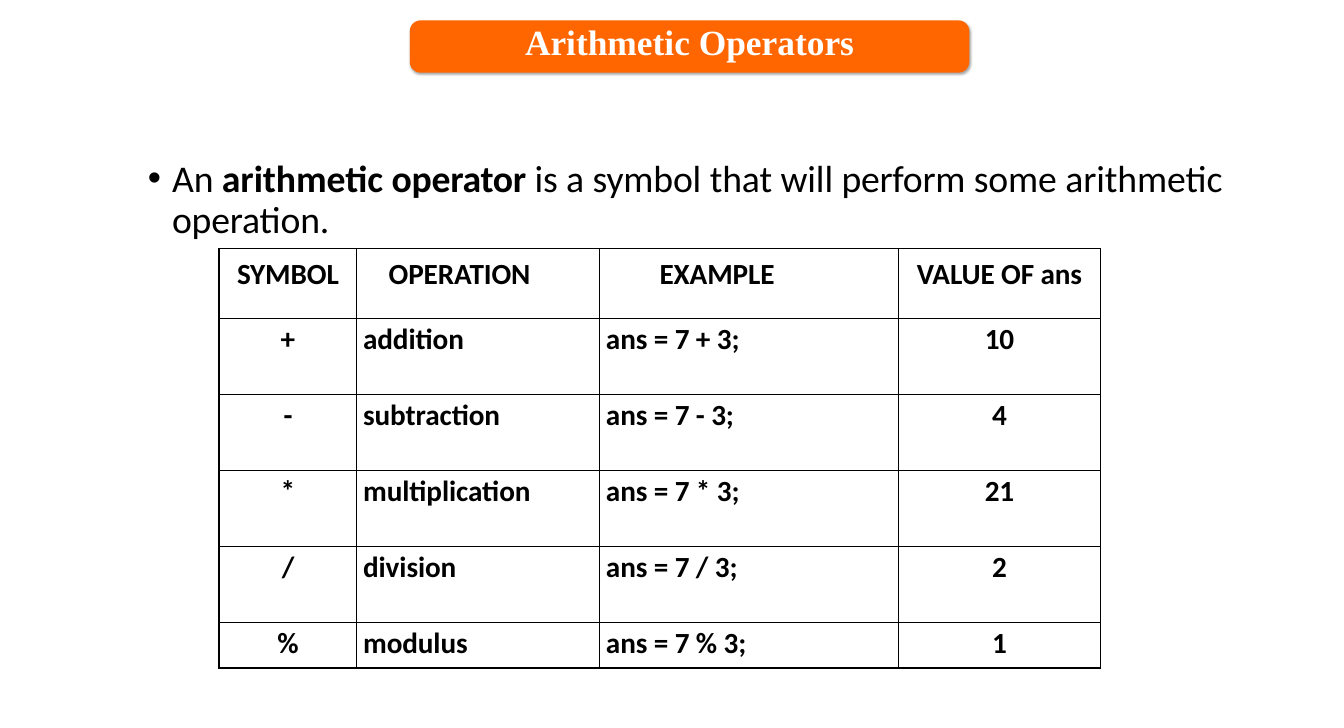
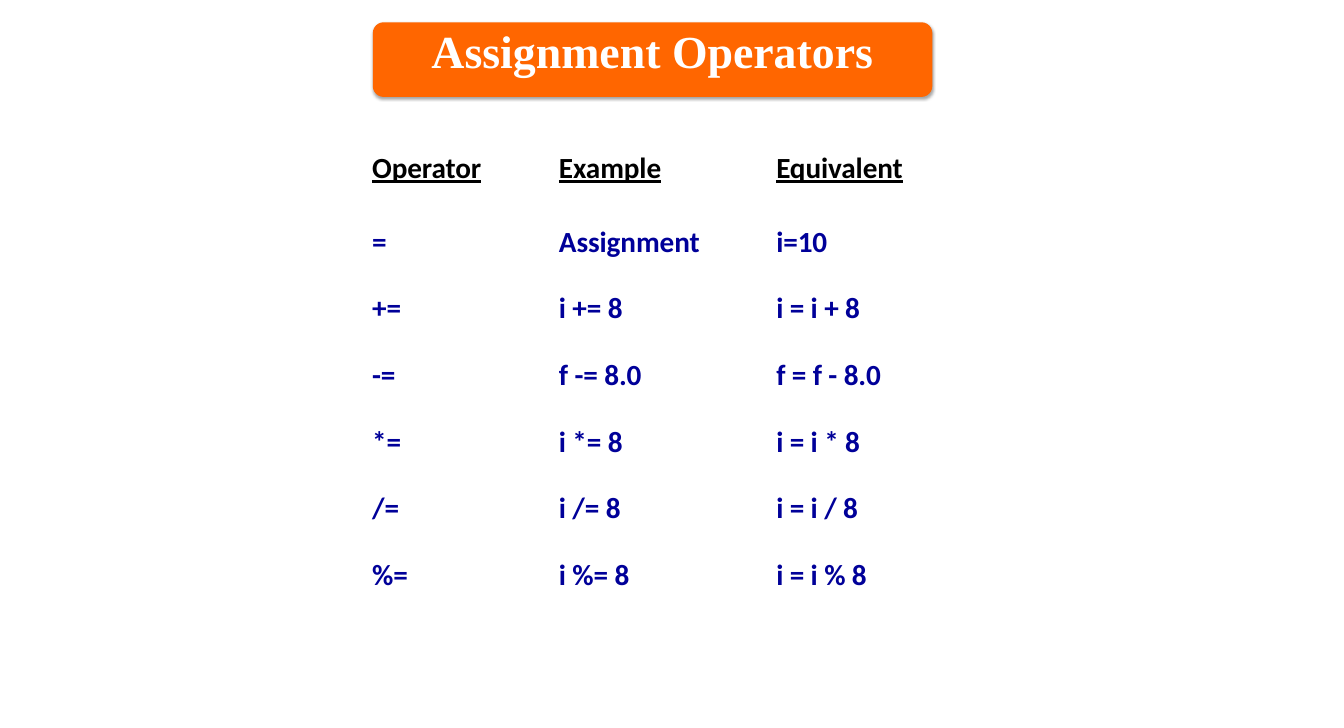
from dataclasses import dataclass

from lxml.etree import SubElement
from pptx import Presentation
from pptx.dml.color import RGBColor
from pptx.enum.shapes import MSO_SHAPE as Shape
from pptx.enum.text import MSO_ANCHOR as Anchor, MSO_AUTO_SIZE as AutoSize, PP_ALIGN as Align
from pptx.oxml.ns import qn
from pptx.util import Inches, Pt

SLIDE_WIDTH, SLIDE_HEIGHT = Inches(21.09), Inches(11.42)
ORANGE, WHITE, BLACK, NAVY = "FF6600", "FFFFFF", "000000", "000099"
TITLE_FONT, BODY_FONT = "Times New Roman", "Calibri"
CELL_SIZE = 33
BAND_WIDTH = 41.63
BAND_RADIUS = Inches(0.17)
NO_GRID_STYLE = "{2D5ABB26-0587-4C30-8999-92F81FD0307C}"
THIN, THICK = Pt(1), Pt(2.25)


def across(percent):
    return round(SLIDE_WIDTH * percent / 100)


def down(percent):
    return round(SLIDE_HEIGHT * percent / 100)


@dataclass
class Band:
    """A title band; lengths are percentages of the slide."""
    left: float
    top: float
    height: float
    size: float


@dataclass
class Span:
    text: str
    bold: bool
    spacing: float


@dataclass
class Column:
    """A table column; width and indents are percentages of the slide width."""
    width: float
    header_indent: float = 0
    indent: float = 0
    align: Align = Align.LEFT


@dataclass
class Grid:
    """A table; lengths are percentages of the slide."""
    left: float
    top: float
    columns: list[Column]
    heights: list[float]
    header_padding: float
    padding: float
    header_spacing: float
    text_color: str
    underlined: bool
    bordered: bool
    rows: list[tuple[str, ...]]


def color(value: str) -> RGBColor:
    return RGBColor.from_string(value)


def style_font(font, name: str, size: float, tint: str, bold: bool | None = None) -> None:
    font.name, font.size, font.bold = name, Pt(size), bold
    font.color.rgb = color(tint)


def space_letters(run, points: float) -> None:
    run._r.get_or_add_rPr().set("spc", str(round(points * 100)))


def clear_margins(frame) -> None:
    frame.margin_left = frame.margin_right = frame.margin_top = frame.margin_bottom = 0
    frame.auto_size = AutoSize.NONE
    frame.vertical_anchor = Anchor.TOP
    frame.word_wrap = True


def place(box, left: float, top: float, width: float, height: float) -> None:
    box.left, box.top = across(left), down(top)
    box.width, box.height = across(width), down(height)


def add_shadow(shape) -> None:
    shape.shadow.inherit = False
    effects = shape._element.spPr.find(qn("a:effectLst"))
    shadow = SubElement(effects, qn("a:outerShdw"), blurRad=str(Pt(3.1)), dist=str(Pt(1.8)),
                        dir="5400000", algn="t", rotWithShape="0")
    tint = SubElement(shadow, qn("a:srgbClr"), val=BLACK)
    SubElement(tint, qn("a:alpha"), val="35000")


def add_title(page, text: str, band: Band) -> None:
    title = page.shapes.title
    place(title, band.left, band.top, BAND_WIDTH, band.height)
    plate = page.shapes.add_shape(Shape.ROUNDED_RECTANGLE, title.left, title.top,
                                  title.width, title.height)
    plate.adjustments[0] = BAND_RADIUS / plate.height
    plate.fill.solid()
    plate.fill.fore_color.rgb = color(ORANGE)
    plate.line.fill.background()
    add_shadow(plate)
    title._element.addprevious(plate._element)

    clear_margins(title.text_frame)
    title.text_frame.text = text
    para = title.text_frame.paragraphs[0]
    para.alignment = Align.CENTER
    style_font(para.font, TITLE_FONT, band.size, WHITE, True)


def add_definition(page, spans: list[Span]) -> None:
    body = page.placeholders[1]
    place(body, 7.3, 21.89, 87.81, 11.38)
    clear_margins(body.text_frame)
    para = body.text_frame.paragraphs[0]
    properties = para._p.get_or_add_pPr()
    properties.set("marL", str(Inches(1.16)))
    properties.set("indent", str(Inches(-0.38)))
    para.line_spacing = Pt(46)
    para.space_before = Pt(0)
    style_font(para.font, BODY_FONT, 42.6, BLACK)
    for span in spans:
        run = para.add_run()
        run.text, run.font.bold = span.text, span.bold
        space_letters(run, span.spacing)


def set_borders(cell, widths: dict[str, int]) -> None:
    properties = cell._tc.get_or_add_tcPr()
    for side, width in widths.items():
        line = SubElement(properties, qn(f"a:ln{side}"), w=str(width))
        fill = SubElement(line, qn("a:solidFill"))
        SubElement(fill, qn("a:srgbClr"), val=BLACK)


def fill_cell(cell, text: str, grid: Grid, column: Column, is_header: bool) -> None:
    indent = column.header_indent if is_header else column.indent
    cell.margin_left = across(indent)
    cell.margin_top = down(grid.header_padding if is_header else grid.padding)
    cell.margin_right = cell.margin_bottom = 0
    cell.vertical_anchor = Anchor.TOP
    cell.text = text
    para = cell.text_frame.paragraphs[0]
    para.alignment = Align.LEFT if is_header and indent else column.align
    style_font(para.font, BODY_FONT, CELL_SIZE, BLACK if is_header else grid.text_color, True)
    if is_header:
        para.line_spacing = Pt(grid.header_spacing)
        para.font.underline = grid.underlined
    space_letters(para.runs[0], -0.1)


def add_grid(page, grid: Grid) -> None:
    last_row, last_column = len(grid.rows) - 1, len(grid.columns) - 1
    frame = page.shapes.add_table(
        last_row + 1, last_column + 1, across(grid.left), down(grid.top),
        across(sum(column.width for column in grid.columns)), down(sum(grid.heights)))
    table = frame.table
    table.first_row = table.horz_banding = False
    table._tbl.tblPr.find(qn("a:tableStyleId")).text = NO_GRID_STYLE
    for table_column, column in zip(table.columns, grid.columns):
        table_column.width = across(column.width)
    for table_row, height in zip(table.rows, grid.heights):
        table_row.height = down(height)
    for row, texts in enumerate(grid.rows):
        for index, (text, column) in enumerate(zip(texts, grid.columns)):
            cell = table.cell(row, index)
            fill_cell(cell, text, grid, column, row == 0)
            if grid.bordered:
                set_borders(cell, {
                    "L": THICK if index == 0 else THIN,
                    "R": THICK if index == last_column else THIN,
                    "T": THICK if row == 0 else THIN,
                    "B": THICK if row == last_row else THIN,
                })
            cell.fill.background()


DEFINITION = [
    Span("An ", False, -0.1),
    Span("arithmetic ", True, -0.1),
    Span("operator ", True, -0.3),
    Span("is a ", False, -0.1),
    Span("symbol ", False, -0.2),
    Span("that will ", False, -0.1),
    Span("perform ", False, -0.3),
    Span("some arithmetic ", False, -0.1),
    Span("operation.", False, -0.2),
]

ARITHMETIC = Grid(
    left=16.31, top=34.15,
    columns=[
        Column(10.24, align=Align.CENTER),
        Column(18.07, header_indent=2.37, indent=0.47),
        Column(22.24, header_indent=4.46, indent=0.47),
        Column(15.03, align=Align.CENTER),
    ],
    heights=[9.54] + [10.46] * 4 + [6.22],
    header_padding=2.98, padding=0.44, header_spacing=24.9,
    text_color=BLACK, underlined=False, bordered=True,
    rows=[
        ("SYMBOL", "OPERATION", "EXAMPLE", "VALUE OF ans"),
        ("+", "addition", "ans = 7 + 3;", "10"),
        ("-", "subtraction", "ans = 7 - 3;", "4"),
        ("*", "multiplication", "ans = 7 * 3;", "21"),
        ("/", "division", "ans = 7 / 3;", "2"),
        ("%", "modulus", "ans = 7 % 3;", "1"),
    ],
)

ASSIGNMENT = Grid(
    left=27.55, top=23.12,
    columns=[Column(12.14, 0.14, 0.14), Column(16.69, 1.9, 1.9), Column(12.75, 1.38, 1.38)],
    heights=[7.09] + [9.16] * 5 + [7.09],
    header_padding=0, padding=0.61, header_spacing=20.9,
    text_color=NAVY, underlined=True, bordered=False,
    rows=[
        ("Operator", "Example", "Equivalent"),
        ("=", "Assignment", "i=10"),
        ("+=", "i += 8", "i = i + 8"),
        ("-=", "f -= 8.0", "f = f - 8.0"),
        ("*=", "i *= 8", "i = i * 8"),
        ("/=", "i /= 8", "i = i / 8"),
        ("%=", "i %= 8", "i = i % 8"),
    ],
)


def main() -> None:
    deck = Presentation()
    deck.slide_width, deck.slide_height = SLIDE_WIDTH, SLIDE_HEIGHT
    title_and_content, title_only = deck.slide_layouts[1], deck.slide_layouts[5]

    page = deck.slides.add_slide(title_and_content)
    add_definition(page, DEFINITION)
    add_grid(page, ARITHMETIC)
    add_title(page, "Arithmetic Operators", Band(30.49, 2.8, 7.18, 40))

    page = deck.slides.add_slide(title_only)
    add_grid(page, ASSIGNMENT)
    add_title(page, "Assignment Operators", Band(27.74, 3.06, 10.25, 51.8))

    deck.save("out.pptx")


if __name__ == "__main__":
    main()
